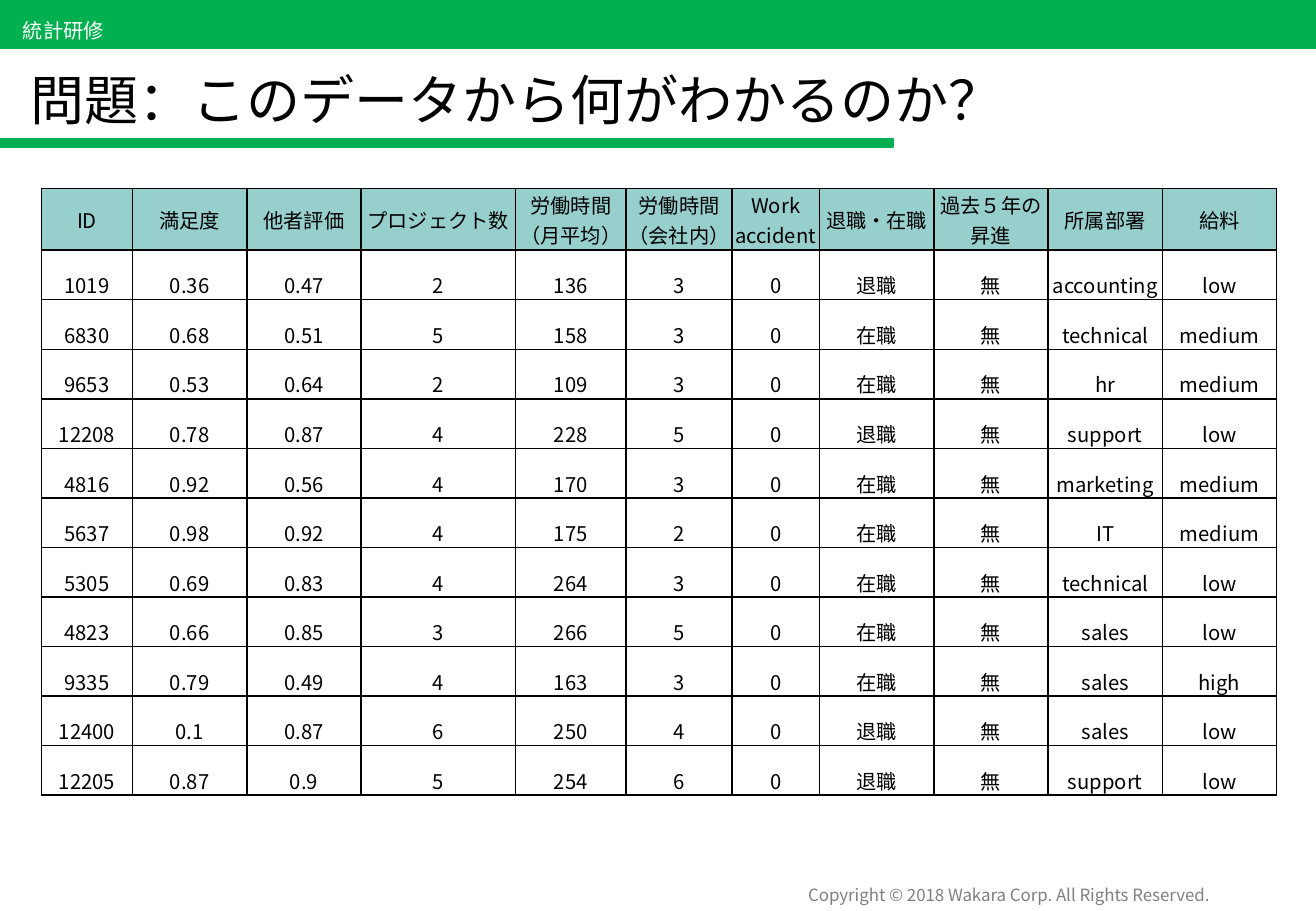
from copy import deepcopy

from pptx import Presentation
from pptx.dml.color import RGBColor
from pptx.enum.shapes import MSO_SHAPE
from pptx.enum.text import MSO_ANCHOR as Anchor, MSO_AUTO_SIZE as AutoSize, PP_ALIGN as Align
from pptx.oxml import parse_xml
from pptx.oxml.ns import nsdecls, qn
from pptx.util import Inches, Pt

WIDTH, HEIGHT = 10.83, 7.5
FONT = "Noto Sans CJK JP"
GREEN, TEAL, BLACK, GRAY, WHITE = "00B050", "97CFCC", "000000", "808080", "FFFFFF"

COLUMNS = [0.75, 0.94, 0.94, 1.27, 0.91, 0.87, 0.72, 0.94, 0.94, 0.94, 0.94]
HEADER_HEIGHT = 0.51
HEADINGS = ["ID", "満足度", "他者評価", "プロジェクト数", "労働時間\n（月平均）",
            "労働時間\n（会社内）", "Work\naccident", "退職・在職",
            "過去５年の\n昇進", "所属部署", "給料"]
RECORDS = """\
1019 0.36 0.47 2 136 3 0 退職 無 accounting low
6830 0.68 0.51 5 158 3 0 在職 無 technical medium
9653 0.53 0.64 2 109 3 0 在職 無 hr medium
12208 0.78 0.87 4 228 5 0 退職 無 support low
4816 0.92 0.56 4 170 3 0 在職 無 marketing medium
5637 0.98 0.92 4 175 2 0 在職 無 IT medium
5305 0.69 0.83 4 264 3 0 在職 無 technical low
4823 0.66 0.85 3 266 5 0 在職 無 sales low
9335 0.79 0.49 4 163 3 0 在職 無 sales high
12400 0.1 0.87 6 250 4 0 退職 無 sales low
12205 0.87 0.9 5 254 6 0 退職 無 support low"""


def color(value):
    """Turn a hex string into a colour."""
    return RGBColor.from_string(value)


def write(frame, text, size=12, fill=BLACK, align=Align.LEFT, spacing=None):
    """Put formatted text into the first paragraph of a frame."""
    para = frame.paragraphs[0]
    para.text = text
    para.alignment = align
    if spacing:
        para.line_spacing = spacing
    for span in para.runs:
        span.font.size = Pt(size)
        span.font.name = FONT
        span.font.color.rgb = color(fill)
        east_asian = parse_xml(f'<a:ea {nsdecls("a")} typeface="{FONT}"/>')
        span.font._element.find(qn("a:latin")).addnext(east_asian)
    for line_break in para._p.findall(qn("a:br")):
        line_break.append(deepcopy(para.runs[0].font._element))


def add_bar(page, box):
    """Draw a green bar in the given box."""
    bar = page.shapes.add_shape(MSO_SHAPE.RECTANGLE, *map(Inches, box))
    bar.shadow.inherit = False
    bar.fill.solid()
    bar.fill.fore_color.rgb = color(GREEN)
    bar.line.color.rgb = color(GREEN)
    bar.line.width = Pt(1)


def add_label(page, box, text, **style):
    """Place a one-line label in the given box."""
    frame = page.shapes.add_textbox(*map(Inches, box)).text_frame
    frame.word_wrap = False
    frame.auto_size = AutoSize.SHAPE_TO_FIT_TEXT
    frame.vertical_anchor = Anchor.MIDDLE
    write(frame, text, **style)


def set_title(page, box, text):
    """Move and fill the title placeholder."""
    title = page.shapes.title
    title.left, title.top, title.width, title.height = map(Inches, box)
    frame = title.text_frame
    frame.auto_size = AutoSize.NONE
    frame.vertical_anchor = Anchor.BOTTOM
    write(frame, text, size=32, spacing=0.9)


def format_cell(cell, text, heading):
    """Fill one cell with its text, borders and background."""
    cell.margin_left = cell.margin_right = cell.margin_top = Inches(0.01)
    cell.margin_bottom = 0
    cell.vertical_anchor = Anchor.MIDDLE if heading else Anchor.BOTTOM
    write(cell.text_frame, text, align=Align.CENTER)
    properties = cell._tc.get_or_add_tcPr()
    for side in "LRTB":
        properties.append(parse_xml(
            f'<a:ln{side} {nsdecls("a")} w="{Pt(1)}"><a:solidFill>'
            f'<a:srgbClr val="{BLACK}"/></a:solidFill></a:ln{side}>'))
    if heading:
        cell.fill.solid()
        cell.fill.fore_color.rgb = color(TEAL)
    else:
        cell.fill.background()


def add_records(page, box):
    """Build the employee table in the given box."""
    rows = [HEADINGS] + [line.split() for line in RECORDS.splitlines()]
    table = page.shapes.add_table(len(rows), len(COLUMNS), *map(Inches, box)).table
    table.horz_banding = False
    for column, share in zip(table.columns, COLUMNS):
        column.width = Inches(box[2] * share / sum(COLUMNS))
    record_height = (box[3] - HEADER_HEIGHT) / (len(rows) - 1)
    for index, values in enumerate(rows):
        table.rows[index].height = Inches(record_height if index else HEADER_HEIGHT)
        for position, value in enumerate(values):
            format_cell(table.cell(index, position), value, heading=index == 0)


def main():
    """Build the deck and save it."""
    deck = Presentation()
    deck.slide_width, deck.slide_height = Inches(WIDTH), Inches(HEIGHT)
    page = deck.slides.add_slide(deck.slide_layouts[5])
    add_bar(page, (0, 0, WIDTH, 0.4))
    add_bar(page, (0, 1.14, 7.35, 0.07))
    add_label(page, (6.21, 7.23, 3.84, 0.27),
              "Copyright © 2018 Wakara Corp. All Rights Reserved.",
              size=10, fill=GRAY, align=Align.RIGHT)
    add_label(page, (0.09, 0.1, 0.88, 0.3), "統計研修", fill=WHITE)
    set_title(page, (0.15, 0.4, 10.36, 0.74), "問題：このデータから何がわかるのか？")
    add_records(page, (0.34, 1.55, 10.17, 5))
    deck.save("out.pptx")


if __name__ == "__main__":
    main()
